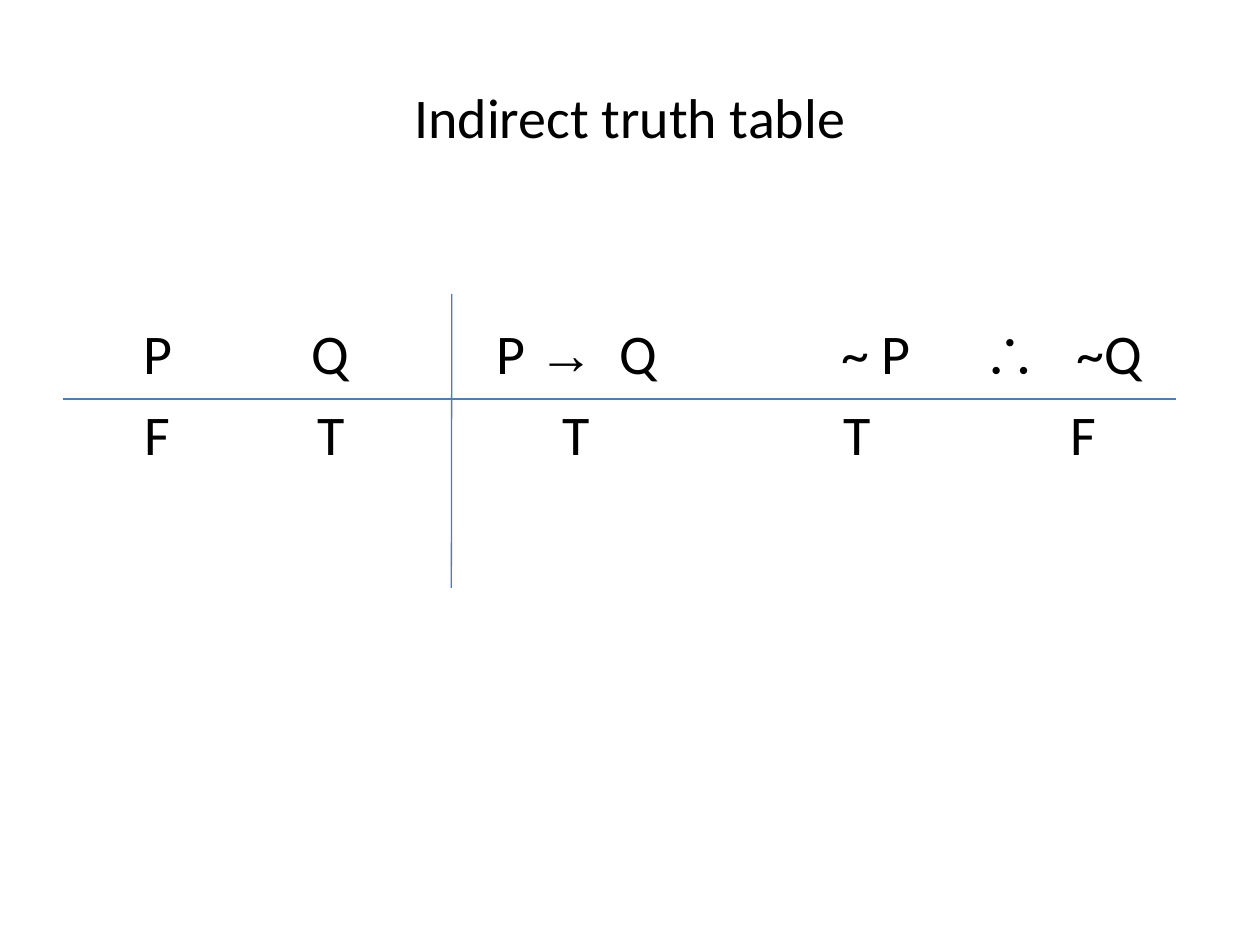
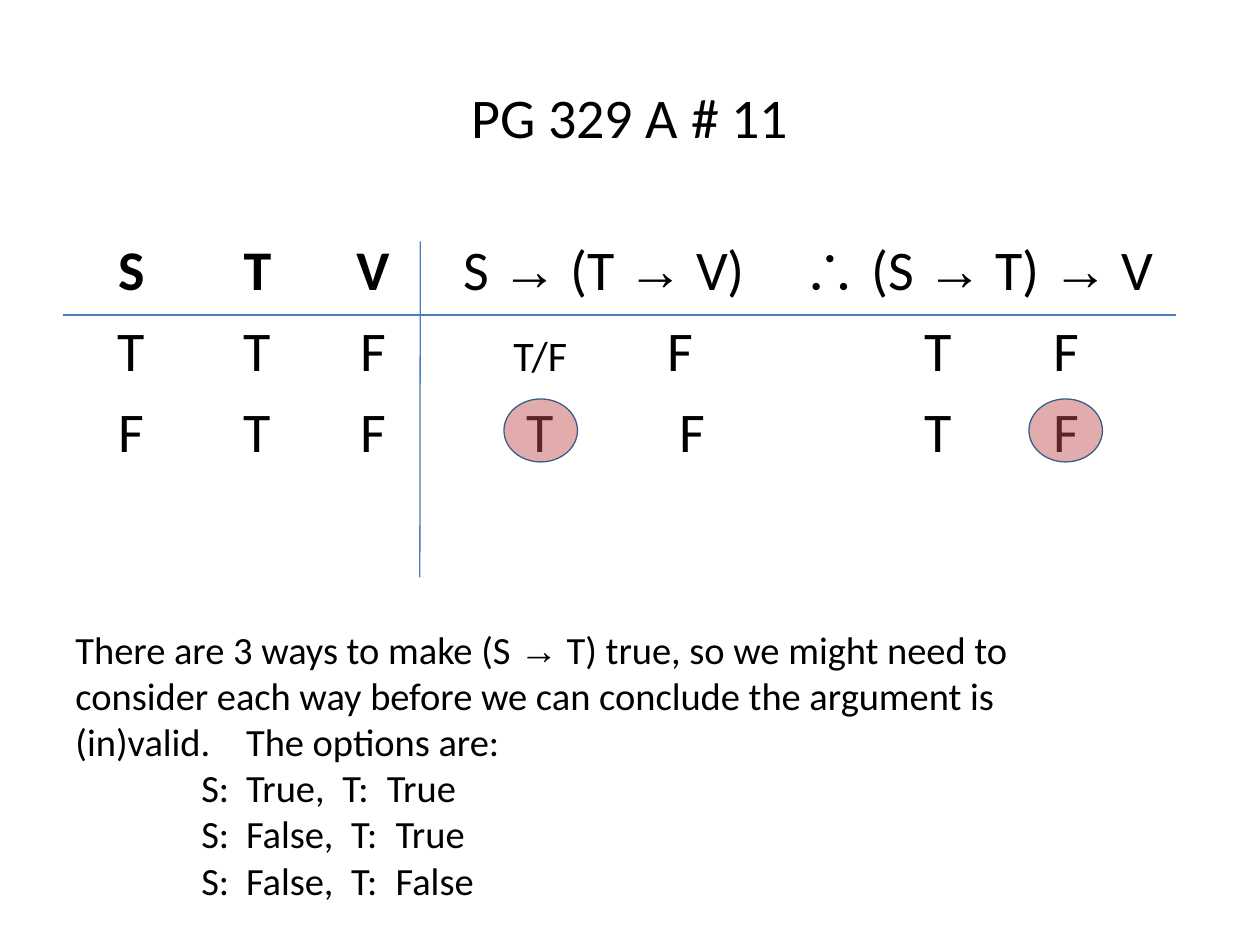
"""Build two slides that show indirect truth tables."""
from dataclasses import dataclass
from itertools import groupby

from lxml import etree
from pptx import Presentation
from pptx.dml.color import RGBColor
from pptx.enum.shapes import MSO_CONNECTOR, MSO_SHAPE
from pptx.enum.text import MSO_ANCHOR, MSO_AUTO_SIZE, PP_ALIGN
from pptx.oxml.ns import qn
from pptx.util import Pt

BLACK = RGBColor(0x00, 0x00, 0x00)
RULE_BLUE = RGBColor(0x4A, 0x7E, 0xBB)
MARK_RED = RGBColor(0xC0, 0x50, 0x4D)
MARK_EDGE = RGBColor(0x38, 0x5D, 0x8A)
CENTER, LEFT = PP_ALIGN.CENTER, PP_ALIGN.LEFT
MIDDLE = MSO_ANCHOR.MIDDLE
FIT_SHAPE = MSO_AUTO_SIZE.SHAPE_TO_FIT_TEXT
NO_FIT = MSO_AUTO_SIZE.NONE
STRAIGHT, OVAL = MSO_CONNECTOR.STRAIGHT, MSO_SHAPE.OVAL

TEXT_FONT, SYMBOL_FONT = "Calibri", "Arial"
SYMBOLS = "→∴"
MAIN_SIZE, SMALL_SIZE, NOTE_SIZE = 32, 24, 22
TABLE_LEFT, ROW_HEIGHT = 36, 45.7
RULE_RIGHT = 672
TITLE_BOX = (36, 21.6, 648, 90)
NOTE_BOX = (36, 354, 594, 192)
MARK_SIZE = (42, 36)


@dataclass(frozen=True)
class Line:
    """One line of text, with tab stops and indent in points."""
    text: str
    align: PP_ALIGN = CENTER
    stops: tuple[float, ...] = ()
    indent: float = 0
    bold: bool = False
    small_lead: str = ""


@dataclass(frozen=True)
class TruthTable:
    """A slide's title, table grid and dividing rules."""
    title: str
    top: float
    widths: tuple[float, ...]
    rows: tuple[tuple[Line, ...], ...]
    divider: tuple[float, float, float, float]
    header_rule: float


def plain(letters: str, bold: bool = False) -> tuple[Line, ...]:
    """Return one centred line for each letter."""
    return tuple(Line(letter, bold=bold) for letter in letters)


def tabbed(text: str, *stops: float, small_lead: str = "") -> Line:
    """Return a left-aligned line that is placed by tab stops."""
    return Line(text, LEFT, stops, small_lead=small_lead)


CONCLUSION_VALUES = tabbed("\tT\tF", 70, 143.5)

INDIRECT = TruthTable(
    "Indirect truth table", 180, (108, 90, 190.8, 129.6, 129.6),
    (
        plain("PQ") + (tabbed("\tP →\tQ", 42.5, 113),
                       Line("~ P", indent=21.7), tabbed("∴\t~Q", 53.5)),
        plain("FTTTF"),
    ),
    (258.2, 168, 257.9, 336), 228,
)
EXERCISE = TruthTable(
    "PG 329 A # 11", 131.8, (78.2, 66, 66, 205.2, 222),
    (
        plain("STV", bold=True) + (Line("S → (T → V) "),
                                   Line("∴ (S → T) → V", LEFT)),
        plain("TTF") + (tabbed("\tF", 40, 128, small_lead="\tT/F"),
                        CONCLUSION_VALUES),
        plain("FTF") + (tabbed("\tT\tF", 47.5, 135), CONCLUSION_VALUES),
    ),
    (240.2, 138, 239.9, 330), 180,
)
NOTE = (
    tabbed("There are 3 ways to make (S → T) true, so we might need to consider "
           "each way before we can conclude the argument is (in)valid.\t"
           "The options are:", 97.5),
    tabbed("\tS:\tTrue,\tT:\tTrue", 72, 97.5, 152.5, 178),
    tabbed("\tS:\tFalse,\tT:\tTrue", 72, 97.5, 157.5, 183),
    tabbed("\tS:\tFalse,\tT:\tFalse", 72, 97.5, 157.5, 183),
)
MARKS = ((288, 228), (588, 228))


def points(values: tuple[float, ...]) -> list[Pt]:
    """Convert plain numbers to lengths in points."""
    return [Pt(value) for value in values]


def apply_format(target, values: dict) -> None:
    """Set each named attribute on the target."""
    for name, value in values.items():
        setattr(target, name, value)


def add_runs(paragraph, text: str, size: float, bold: bool) -> None:
    """Write text in runs, with logic symbols in their own font."""
    for is_symbol, letters in groupby(text, key=lambda letter: letter in SYMBOLS):
        run = paragraph.add_run()
        run.text = "".join(letters)
        apply_format(run.font, {
            "name": SYMBOL_FONT if is_symbol else TEXT_FONT,
            "size": Pt(size), "bold": bold,
        })
        run.font.color.rgb = BLACK


def write_line(paragraph, line: Line, size: float = MAIN_SIZE) -> None:
    """Fill a paragraph from a line of text."""
    paragraph.alignment = line.align
    properties = paragraph._p.get_or_add_pPr()
    if line.indent:
        properties.set("marL", str(Pt(line.indent)))
    if line.stops:
        tab_list = etree.SubElement(properties, qn("a:tabLst"))
        for stop in line.stops:
            etree.SubElement(tab_list, qn("a:tab"), pos=str(Pt(stop)), algn="l")
    add_runs(paragraph, line.small_lead, SMALL_SIZE, line.bold)
    add_runs(paragraph, line.text, size, line.bold)


def add_title(slide, text: str) -> None:
    """Place and format the title placeholder."""
    title = slide.shapes.title
    apply_format(title, dict(zip(("left", "top", "width", "height"),
                                 points(TITLE_BOX))))
    apply_format(title.text_frame, {"vertical_anchor": MIDDLE, "auto_size": NO_FIT,
                                    "word_wrap": True})
    write_line(title.text_frame.paragraphs[0], Line(text))


def add_grid(slide, truth_table: TruthTable) -> None:
    """Add the unfilled table of formulas and truth values."""
    widths, rows = truth_table.widths, truth_table.rows
    box = (TABLE_LEFT, truth_table.top, sum(widths), ROW_HEIGHT * len(rows))
    table = slide.shapes.add_table(len(rows), len(widths), *points(box)).table
    apply_format(table, {"first_row": False, "horz_banding": False})
    for column, width in zip(table.columns, widths):
        column.width = Pt(width)
    for table_row, lines in zip(table.rows, rows):
        table_row.height = Pt(ROW_HEIGHT)
        for cell, line in zip(table_row.cells, lines):
            cell.fill.background()
            write_line(cell.text_frame.paragraphs[0], line)


def add_rule(slide, ends: tuple[float, float, float, float]) -> None:
    """Add a thin straight rule without a shadow."""
    rule = slide.shapes.add_connector(STRAIGHT, *points(ends))
    rule.line.color.rgb = RULE_BLUE
    rule.line.width = Pt(0.75)
    etree.SubElement(rule._element.spPr, qn("a:effectLst"))


def add_truth_slide(presentation, truth_table: TruthTable):
    """Add a slide with its title, table and rules."""
    slide = presentation.slides.add_slide(presentation.slide_layouts[5])
    add_title(slide, truth_table.title)
    add_grid(slide, truth_table)
    height = truth_table.header_rule
    add_rule(slide, truth_table.divider)
    add_rule(slide, (TABLE_LEFT, height, RULE_RIGHT, height))
    return slide


def add_note(slide) -> None:
    """Add the explanation and its list of options."""
    frame = slide.shapes.add_textbox(*points(NOTE_BOX)).text_frame
    apply_format(frame, {"word_wrap": True, "auto_size": FIT_SHAPE})
    for index, line in enumerate(NOTE):
        paragraph = frame.add_paragraph() if index else frame.paragraphs[0]
        write_line(paragraph, line, NOTE_SIZE)


def add_mark(slide, position: tuple[float, float]) -> None:
    """Add a translucent ellipse over a truth value."""
    mark = slide.shapes.add_shape(OVAL, *points(position + MARK_SIZE))
    mark.shadow.inherit = False
    mark.fill.solid()
    mark.fill.fore_color.rgb = MARK_RED
    mark.line.color.rgb = MARK_EDGE
    mark.line.width = Pt(0)
    color = mark._element.spPr.find(qn("a:solidFill"))[0]
    etree.SubElement(color, qn("a:alpha"), val="47000")


def main() -> None:
    """Build and save the presentation."""
    presentation = Presentation()
    apply_format(presentation, {"slide_width": Pt(720), "slide_height": Pt(540)})
    add_truth_slide(presentation, INDIRECT)
    exercise = add_truth_slide(presentation, EXERCISE)
    add_note(exercise)
    for position in MARKS:
        add_mark(exercise, position)
    presentation.save("out.pptx")


if __name__ == "__main__":
    main()
